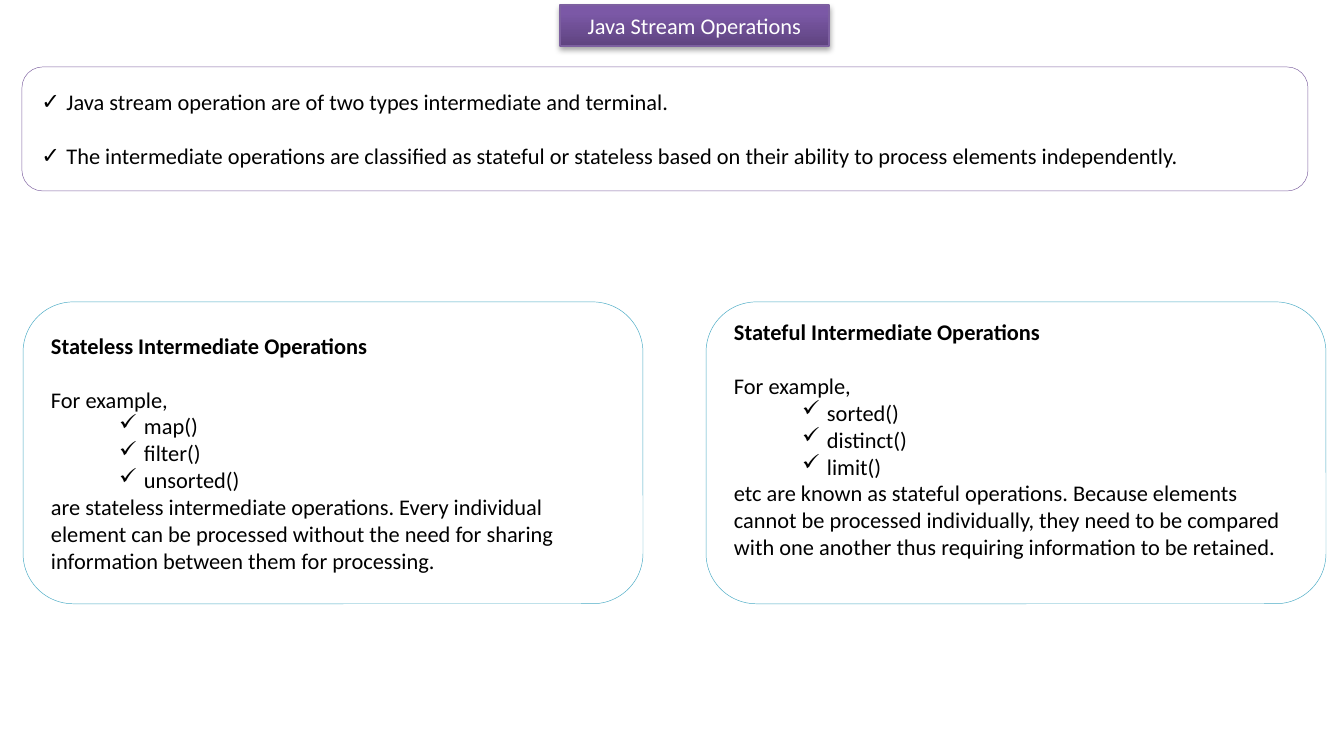
from lxml.etree import SubElement
from pptx import Presentation
from pptx.dml.color import RGBColor
from pptx.enum.shapes import MSO_SHAPE
from pptx.enum.text import MSO_ANCHOR, MSO_AUTO_SIZE, PP_ALIGN
from pptx.oxml import parse_xml
from pptx.oxml.ns import nsdecls, qn
from pptx.util import Inches, Pt

PX = 914400 / 134.4
WHITE = RGBColor(0xFF, 0xFF, 0xFF)
BLACK = RGBColor(0x00, 0x00, 0x00)
PURPLE_DARK = RGBColor(0x5F, 0x44, 0x80)
PURPLE_LIGHT = RGBColor(0x7B, 0x58, 0xA6)
PURPLE_EDGE = RGBColor(0x7D, 0x60, 0xA0)
PURPLE_LINE = RGBColor(0x80, 0x64, 0xA2)
TEAL_LINE = RGBColor(0x4B, 0xAC, 0xC6)
LINE_GAP = 14.4


def px(value):
    return round(value * PX)


def add_text(box, text, color=BLACK, bold=False, align=PP_ALIGN.LEFT,
             check_at=None, level=0, gap=0):
    """Add a paragraph; check_at is the text indent in px after a check mark."""
    frame = box.text_frame
    first = frame.paragraphs[0]
    paragraph = first if not first.runs else frame.add_paragraph()
    properties = paragraph._p.get_or_add_pPr()
    properties.set("marL", str(px(check_at or 0)))
    properties.set("indent", str(px(-25 if check_at else 0)))
    if check_at:
        SubElement(properties, qn("a:buChar"), char="✓")
    else:
        SubElement(properties, qn("a:buNone"))
    paragraph.level = level
    paragraph.alignment = align
    paragraph.space_before = Pt(0)
    paragraph.space_after = Pt(gap)
    run = paragraph.add_run()
    run.text = text
    run.font.name = "Calibri"
    run.font.size = Pt(12)
    run.font.bold = bold
    run.font.color.rgb = color


prs = Presentation()
prs.slide_width, prs.slide_height = Inches(10), Inches(5.5)
slide = prs.slides.add_slide(prs.slide_layouts[1])
title, summary = slide.placeholders

# Title and summary placeholders
for box, (left, top, width, height) in ((title, (560, 5, 269, 41)),
                                        (summary, (22, 67, 1286, 124))):
    box.left, box.top, box.width, box.height = px(left), px(top), px(width), px(height)
    box.text_frame.auto_size = MSO_AUTO_SIZE.NONE
    box.text_frame.vertical_anchor = MSO_ANCHOR.MIDDLE

# Title banner with gradient and shadow
title.fill.gradient()
title.fill.gradient_angle = 90
for stop, color, position in zip(title.fill.gradient_stops,
                                 (PURPLE_DARK, PURPLE_LIGHT), (0, 0.8)):
    stop.color.rgb = color
    stop.position = position
title.line.color.rgb = PURPLE_EDGE
title.line.width = Pt(0.75)
title._element.spPr.append(parse_xml(
    f'<a:effectLst {nsdecls("a")}><a:outerShdw blurRad="{Pt(3.1)}" dist="{Pt(1.8)}" '
    'dir="5400000" rotWithShape="0"><a:srgbClr val="000000"><a:alpha val="35000"/>'
    '</a:srgbClr></a:outerShdw></a:effectLst>'))
add_text(title, "Java Stream Operations", color=WHITE, align=PP_ALIGN.CENTER)

# Rounded summary list
summary._element.spPr.append(parse_xml(
    f'<a:prstGeom {nsdecls("a")} prst="roundRect"><a:avLst/></a:prstGeom>'))
summary.fill.solid()
summary.fill.fore_color.rgb = WHITE
summary.line.color.rgb = PURPLE_LINE
summary.line.width = Pt(0.25)
add_text(summary, "Java stream operation are of two types intermediate and terminal.",
         check_at=25, gap=LINE_GAP)
add_text(summary, "The intermediate operations are classified as stateful or stateless "
         "based on their ability to process elements independently.", check_at=25)

# Cards: left, extra space below the text, heading, examples, explanation
cards = [
    (706, 27, "Stateful Intermediate Operations", ("sorted()", "distinct()", "limit()"),
     "etc are known as stateful operations. Because elements cannot be processed "
     "individually, they need to be compared with one another thus requiring "
     "information to be retained."),
    (23, 0, "Stateless Intermediate Operations", ("map()", "filter()", "unsorted()"),
     "are stateless intermediate operations. Every individual element can be processed "
     "without the need for sharing information between them for processing."),
]
for left, space_below, heading, examples, explanation in cards:
    card = slide.shapes.add_shape(MSO_SHAPE.ROUNDED_RECTANGLE,
                                  px(left), px(302), px(620), px(302))
    card.shadow.inherit = False
    card.fill.solid()
    card.fill.fore_color.rgb = WHITE
    card.line.color.rgb = TEAL_LINE
    card.line.width = Pt(0.25)
    card.text_frame.word_wrap = True
    card.text_frame.vertical_anchor = MSO_ANCHOR.MIDDLE
    card.text_frame.margin_bottom += px(space_below)
    add_text(card, heading, bold=True, gap=LINE_GAP)
    add_text(card, "For example,")
    for example in examples:
        add_text(card, example, check_at=93, level=1)
    add_text(card, explanation)

prs.save("out.pptx")
